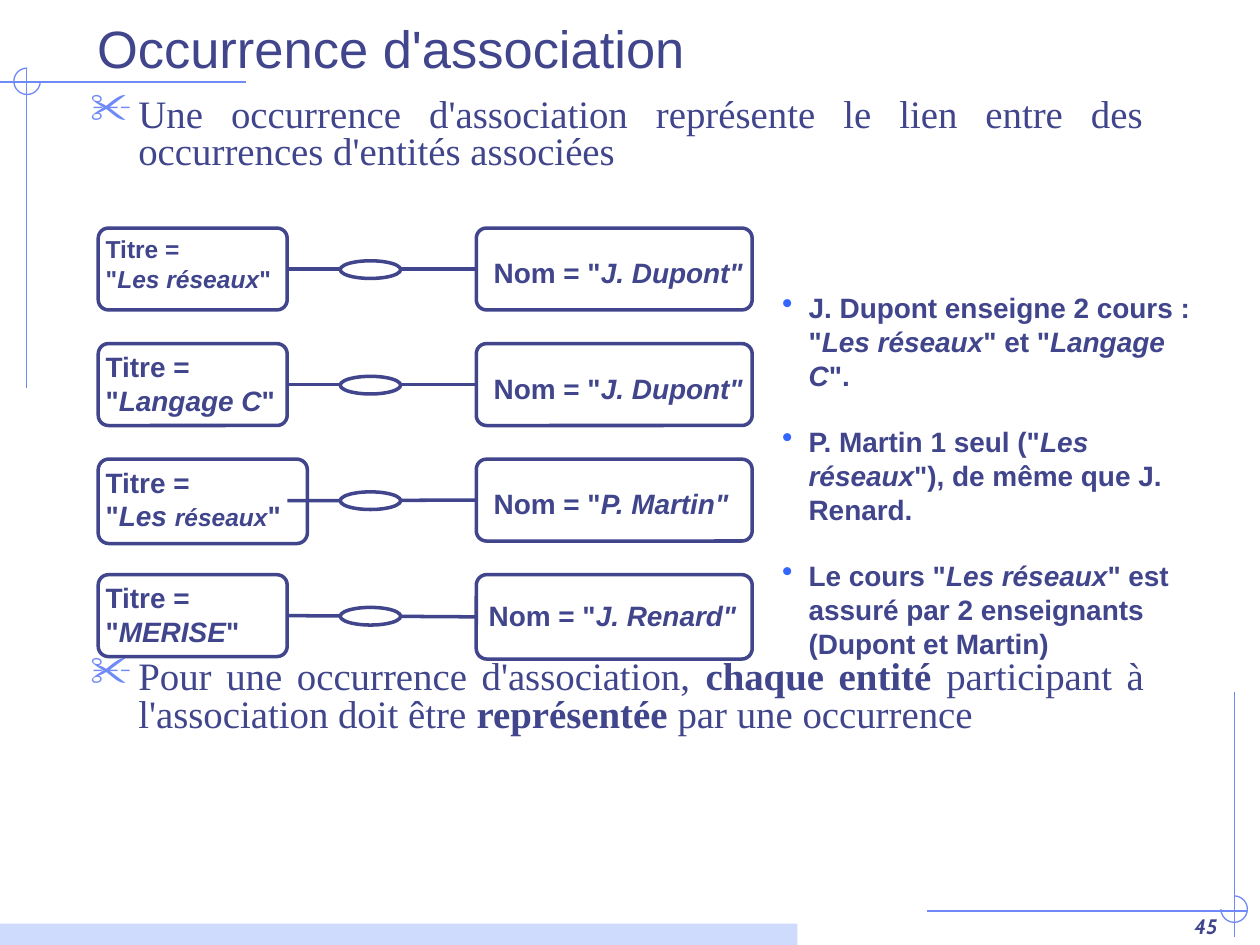
from lxml.etree import SubElement
from pptx import Presentation
from pptx.dml.color import RGBColor
from pptx.enum.shapes import MSO_CONNECTOR, MSO_SHAPE
from pptx.enum.text import MSO_ANCHOR, PP_ALIGN
from pptx.oxml.ns import qn
from pptx.util import Inches, Pt

INK, SKY, PALE, BLUE, WHITE = "40458C", "6F89F7", "CFDBFD", "3366FF", "FFFFFF"

TITLE = "Occurrence d'association"
BODY = [
    "Une occurrence d'association représente le lien entre des occurrences d'entités associées",
    "Pour une occurrence d'association, *chaque entité *participant à l'association doit être "
    "*représentée* par une occurrence",
]
NOTES = [
    'J. Dupont enseigne 2 cours : "*Les réseaux*" et "*Langage C*".',
    'P. Martin 1 seul ("*Les réseaux*"), de même que J. Renard.',
    'Le cours "*Les réseaux*" est assuré par 2 enseignants (Dupont et Martin)',
]
ROWS = [
    {"course": '"*Les réseaux*"', "size": 14, "name": "J. Dupont", "at": (3.82, 0.17)},
    {"course": '"*Langage C*"', "name": "J. Dupont", "at": (3.82, 0.17)},
    {"course": '"*Les **réseaux*"', "small": "réseaux", "name": "P. Martin",
     "at": (3.82, 0.17), "left": (1.66, 0.67)},
    {"course": '"*MERISE*"', "name": "J. Renard", "at": (3.78, 0.14), "right": (2.19, 0.67)},
]
TOP, STEP = 1.81, 0.917
RULES = [
    (1.95, 0.65, 0, 0.65), (0.21, 0.55, 0.21, 3.08),
    (9.8, 5.49, 9.8, 7.44), (9.9, 7.23, 7.36, 7.23),
]
ARCS = [(0.11, 0.54, 0), (9.69, 7.11, 270)]


def paint(color):
    return RGBColor.from_string(color)


def bullet(para, mark, color, indent):
    props = para._p.get_or_add_pPr()
    props.set("marL", str(Inches(indent)))
    props.set("indent", str(-Inches(indent)))
    tint = SubElement(props, qn("a:buClr"))
    SubElement(tint, qn("a:srgbClr"), val=color)
    SubElement(props, qn("a:buSzPct"), val="110000")
    SubElement(props, qn("a:buChar"), char=mark)


def write(box, lines, size=16, font="Arial", bold=True, italic=False, alt="italic", small="",
          align=PP_ALIGN.LEFT, anchor=MSO_ANCHOR.TOP, wrap=True, gap=0, space=None, mark=None):
    frame = box.text_frame
    frame.word_wrap = wrap
    frame.vertical_anchor = anchor
    for i, line in enumerate(lines):
        para = frame.add_paragraph() if i else frame.paragraphs[0]
        if mark:
            bullet(para, *mark)
        para.alignment = align
        para.space_before = Pt(gap if i else 0)
        if space:
            para.line_spacing = space
        for j, part in enumerate(line.split("*")):
            if not part:
                continue
            run = para.add_run()
            run.text = part
            face = run.font
            face.name, face.bold, face.italic = font, bold, italic
            face.size = Pt(14 if part == small else size)
            face.color.rgb = paint(INK)
            if j % 2:
                setattr(face, alt, True)


def label(x, y, w, h, lines, **style):
    box = slide.shapes.add_textbox(*map(Inches, (x, y, w, h)))
    write(box, lines, **style)


def shape(kind, x, y, w, h, fill=None, line=None, width=2):
    item = slide.shapes.add_shape(kind, *map(Inches, (x, y, w, h)))
    item.shadow.inherit = False
    if fill:
        item.fill.solid()
        item.fill.fore_color.rgb = paint(fill)
    else:
        item.fill.background()
    if line:
        item.line.color.rgb = paint(line)
        item.line.width = Pt(width)
    else:
        item.line.fill.background()
    return item


def link(x, y, u, v, color=INK, width=2):
    item = slide.shapes.add_connector(MSO_CONNECTOR.STRAIGHT, *map(Inches, (x, y, u, v)))
    item.line.color.rgb = paint(color)
    item.line.width = Pt(width)
    SubElement(item._element.spPr, qn("a:effectLst"))
    return item


def card(x, y, size):
    item = shape(MSO_SHAPE.ROUNDED_RECTANGLE, x, y, *size, fill=WHITE, line=INK)
    item.adjustments[0] = 0.125
    return item


deck = Presentation()
deck.slide_width, deck.slide_height = Inches(10), Inches(7.5)
slide = deck.slides.add_slide(deck.slide_layouts[5])

for rule in RULES:
    link(*rule, color=SKY, width=0.75)
for x, y, turn in ARCS:
    arc = shape(MSO_SHAPE.ARC, x, y, 0.21, 0.21, line=SKY, width=0.75)
    arc.adjustments[0], arc.adjustments[1] = 0, 162
    arc.rotation = turn
shape(MSO_SHAPE.RECTANGLE, 0, 7.33, 6.33, 0.17, fill=PALE)
label(7.68, 7, 2.08, 0.5, ["45"], size=12, font="Cabin", italic=True,
      align=PP_ALIGN.RIGHT, anchor=MSO_ANCHOR.BOTTOM)

title = slide.shapes.title
title.left, title.top, title.width, title.height = map(Inches, (0.67, 0.01, 9.08, 0.67))
write(title, [TITLE], size=30, bold=False, anchor=MSO_ANCHOR.BOTTOM)
label(0.62, 0.73, 8.56, 6.11, BODY, size=22.2, font="Times New Roman", bold=False, alt="bold",
      align=PP_ALIGN.JUSTIFY, gap=279, space=0.8, mark=("✂", SKY, 0.38))

for i, row in enumerate(ROWS):
    y = TOP + i * STEP
    mid = y + 0.33
    right = card(3.78, y, row.get("right", (2.19, 0.65)))
    left = card(0.78, y, row.get("left", (1.5, 0.65)))
    bond = link(2.28, mid, 3.78, mid)
    if "left" not in row:
        bond.begin_connect(left, 3)
    bond.end_connect(right, 1)
    shape(MSO_SHAPE.OVAL, 2.7, mid - 0.07, 0.48, 0.14, fill=WHITE, line=INK)
    x, drop = row["at"]
    label(x, y + drop, 2.18, 0.37, [f'Nom = "*{row["name"]}"'], wrap=False)
    label(0.74, y, 1.79, 0.63, ["Titre =", row["course"]],
          size=row.get("size", 16), small=row.get("small", ""))

label(6.11, 2.26, 3.53, 3.04, NOTES, gap=19, mark=("•", BLUE, 0.21))
deck.save("out.pptx")
